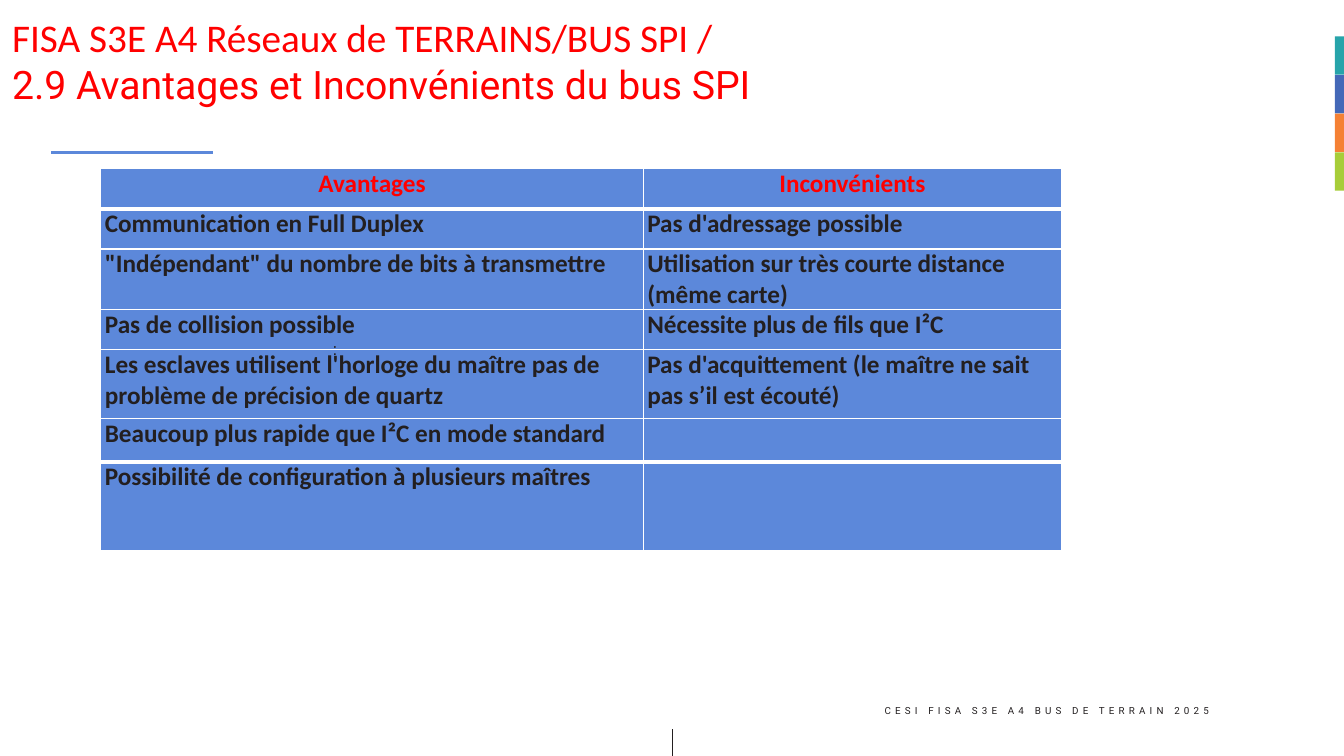
from lxml import etree
from pptx import Presentation
from pptx.dml.color import RGBColor
from pptx.enum.shapes import MSO_CONNECTOR as Connector, MSO_SHAPE as Shape
from pptx.enum.text import MSO_ANCHOR as Anchor, PP_ALIGN as Align
from pptx.oxml import parse_xml
from pptx.oxml.ns import nsdecls, qn
from pptx.util import Inches, Pt

DARK, RED, BLUE = "231F20", "FF0000", "5C88DA"


def color(value):
    return RGBColor.from_string(value)


def style(paragraph, size, name, value, bold=False):
    font = paragraph.font
    font.size, font.name, font.bold = Pt(size), name, bold
    font.color.rgb = color(value)


presentation = Presentation()
presentation.slide_width, presentation.slide_height = Inches(13.33), Inches(7.5)
slide = presentation.slides.add_slide(presentation.slide_layouts[6])
shapes = slide.shapes

# Footer tick and title rule
for x1, y1, x2, y2, value, width in [
    (6.67, 7.5, 6.67, 7.23, DARK, 1),
    (0.51, 1.51, 2.11, 1.51, BLUE, 2),
]:
    line = shapes.add_connector(
        Connector.STRAIGHT, Inches(x1), Inches(y1), Inches(x2), Inches(y2))
    line.line.color.rgb = color(value)
    line.line.width = Pt(width)
    etree.SubElement(line._element.spPr, qn("a:effectLst"))

# Coloured tabs on the right edge
for index, value in enumerate(["27A4AA", "4469B8", "F58134", "A7CD39"]):
    tab = shapes.add_shape(Shape.RECTANGLE, Inches(13.24),
                           Inches(0.36 + 0.384 * index), Inches(0.1), Inches(0.38))
    tab.shadow.inherit = False
    tab.fill.solid()
    tab.fill.fore_color.rgb = color(value)
    tab.line.fill.background()

# Title
title = shapes.add_textbox(Inches(-0.81), Inches(0.03), Inches(10.56), Inches(1.04))
frame = title.text_frame
frame.word_wrap = True
frame.vertical_anchor = Anchor.MIDDLE
frame.margin_left, frame.margin_top = Inches(0.43), Inches(0.09)
frame.margin_right, frame.margin_bottom = Inches(0.1), 0
frame.text = ("FISA S3E A4 Réseaux de TERRAINS/BUS SPI /\n"
              "2.9 Avantages et Inconvénients du bus SPI")
for paragraph, name in zip(frame.paragraphs, ["Calibri", "Roboto"]):
    paragraph._p.get_or_add_pPr().set("marL", str(Inches(0.5)))
    style(paragraph, 28, name, RED)

# Comparison table
rows = [
    ("Avantages", "Inconvénients"),
    ("Communication en Full Duplex", "Pas d'adressage possible"),
    ('"Indépendant" du nombre de bits à transmettre',
     "Utilisation sur très courte distance (même carte)"),
    ("Pas de collision possible", "Nécessite plus de fils que I²C"),
    ("Les esclaves utilisent l'horloge du maître pas de problème de précision de quartz",
     "Pas d'acquittement (le maître ne sait pas s’il est écouté)"),
    ("Beaucoup plus rapide que I²C en mode standard", ""),
    ("Possibilité de configuration à plusieurs maîtres", ""),
]
heights = [0.4, 0.4, 0.59, 0.4, 0.68, 0.43, 0.88]
thick_edges = {1, len(rows) - 1}  # row boundaries drawn with a heavier line
table = shapes.add_table(len(rows), 2, Inches(1), Inches(1.67),
                         Inches(9.53), Inches(sum(heights))).table
table.horz_banding = False
for column, width in zip(table.columns, [5.38, 4.15]):
    column.width = Inches(width)
for row_index, (texts, height) in enumerate(zip(rows, heights)):
    table.rows[row_index].height = Inches(height)
    top, bottom = (3 if edge in thick_edges else 1
                   for edge in (row_index, row_index + 1))
    for column_index, text in enumerate(texts):
        cell = table.cell(row_index, column_index)
        cell.margin_left = cell.margin_right = cell.margin_top = cell.margin_bottom = 0
        cell.fill.solid()
        cell.fill.fore_color.rgb = color(BLUE)
        cell.text = text
        paragraph = cell.text_frame.paragraphs[0]
        if row_index == 0:
            paragraph.alignment = Align.CENTER
        else:
            paragraph._p.get_or_add_pPr().set("marL", str(Inches(0.04)))
        style(paragraph, 18, "Calibri", DARK if row_index else RED, bold=True)
        properties = cell._tc.get_or_add_tcPr()
        borders = [("L", 1), ("R", 1), ("T", top), ("B", bottom)]
        for position, (side, width) in enumerate(borders):
            properties.insert(position, parse_xml(
                f'<a:ln{side} {nsdecls("a")} w="{Pt(width)}"><a:solidFill>'
                f'<a:srgbClr val="FFFFFF"/></a:solidFill></a:ln{side}>'))

# Stray colon over the table
colon = shapes.add_textbox(Inches(3.2), Inches(3.3), Inches(0.25), Inches(0.32))
colon.text_frame.word_wrap = False
colon.text_frame.vertical_anchor = Anchor.MIDDLE
colon.text_frame.text = ":"
style(colon.text_frame.paragraphs[0], 12, "Arial", DARK)

# Footer
footer = shapes.add_textbox(Inches(6.94), Inches(6.85), Inches(5.15), Inches(0.4))
footer.text_frame.word_wrap = True
footer.text_frame.vertical_anchor = Anchor.MIDDLE
footer.text_frame.text = "CESI FISA S3E A4 BUS DE TERRAIN 2025"
paragraph = footer.text_frame.paragraphs[0]
paragraph.alignment = Align.RIGHT
style(paragraph, 7, "Roboto", DARK)
paragraph.runs[0]._r.get_or_add_rPr().set("spc", "300")

presentation.save("out.pptx")
